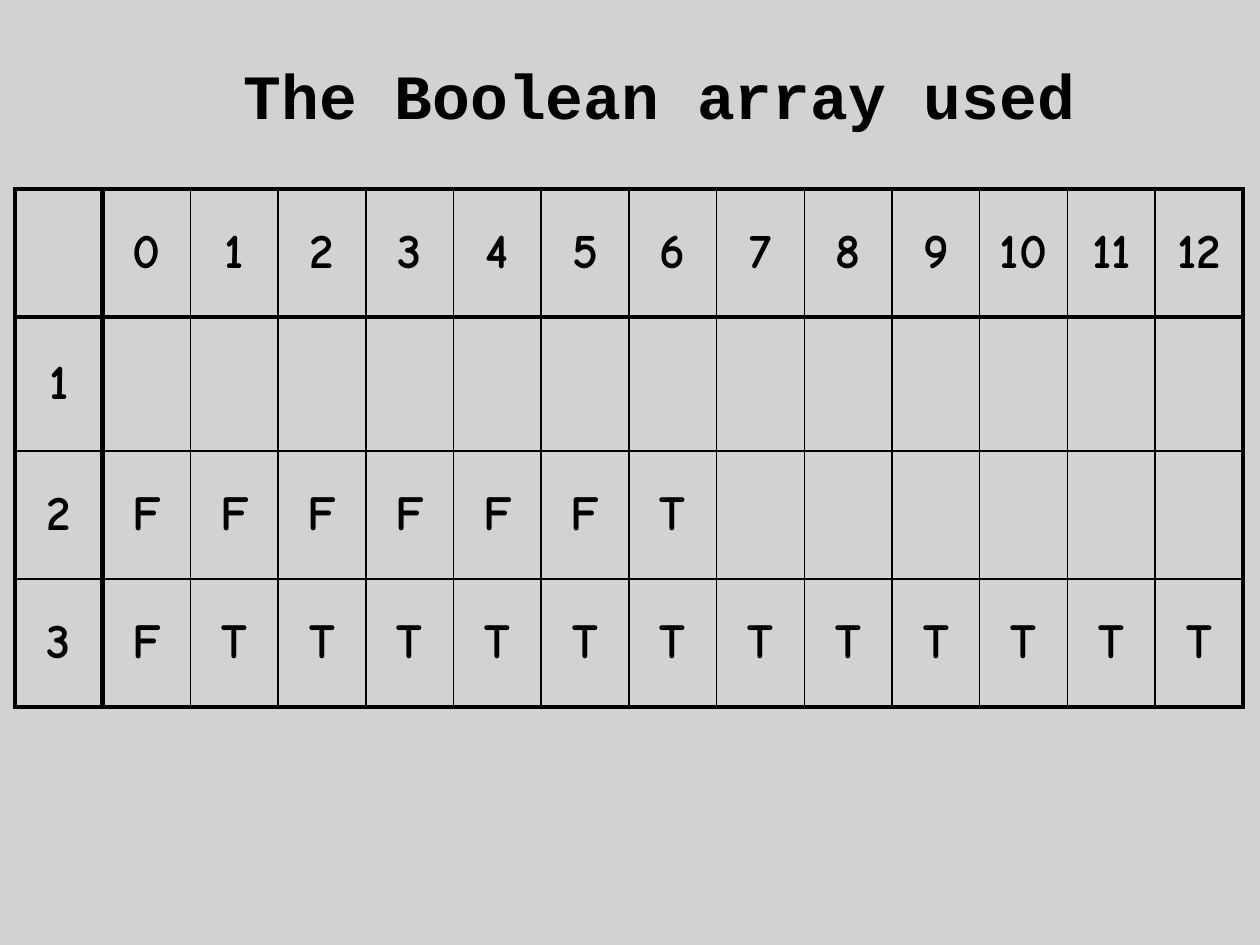
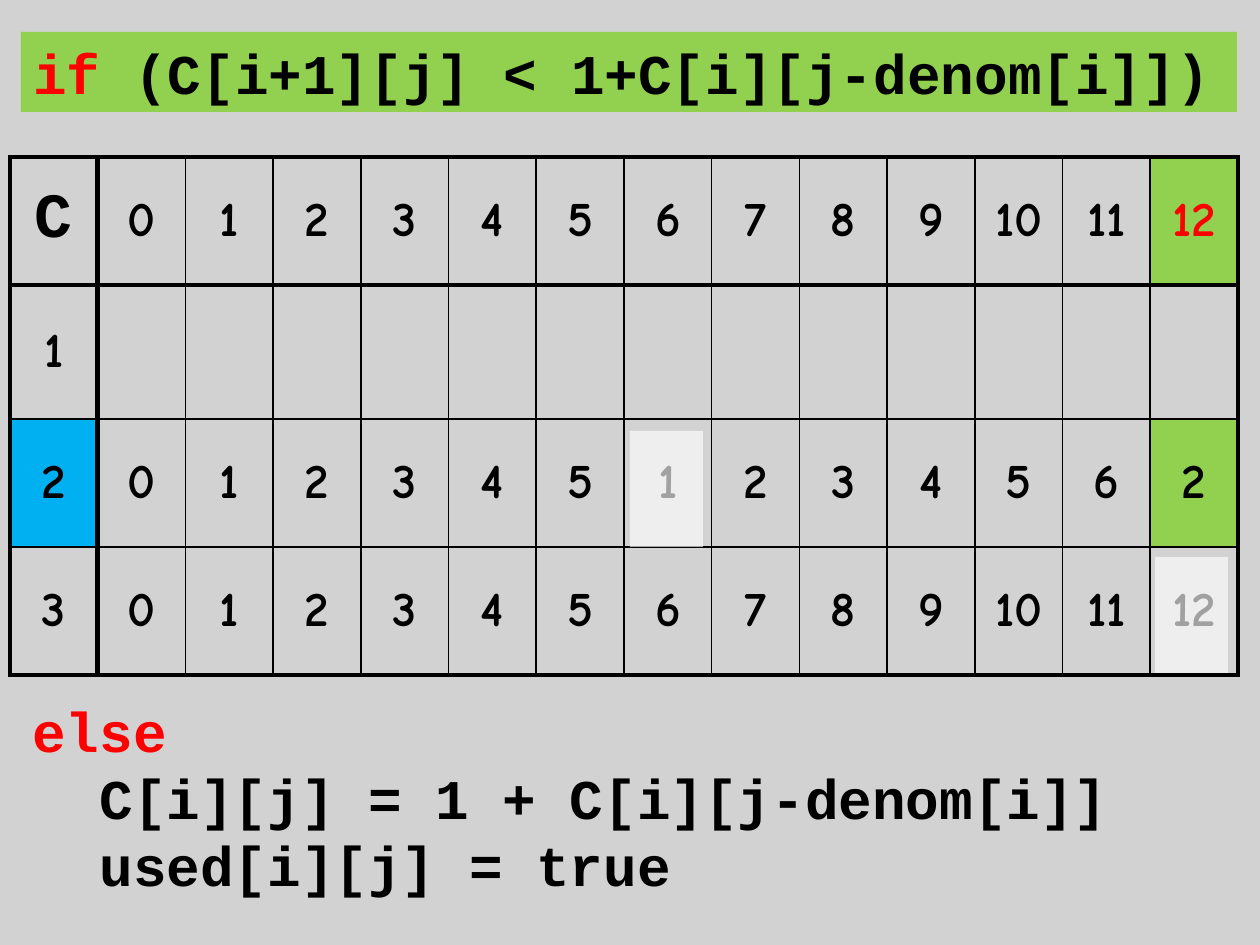
from lxml.etree import SubElement
from pptx import Presentation
from pptx.dml.color import RGBColor
from pptx.enum.shapes import MSO_SHAPE
from pptx.enum.text import MSO_ANCHOR, MSO_AUTO_SIZE, PP_ALIGN
from pptx.oxml.ns import qn
from pptx.util import Emu, Pt

BLACK = RGBColor(0x00, 0x00, 0x00)
WHITE = RGBColor(0xFF, 0xFF, 0xFF)
GREY = RGBColor(0xC0, 0xC0, 0xC0)
RED = RGBColor(0xFF, 0x00, 0x00)
GREEN = RGBColor(0x92, 0xD0, 0x50)
BLUE = RGBColor(0x00, 0xB0, 0xF0)
CODE, HAND = "Courier New", "Comic Neue"

# Content: code lines are lists of (text, colour) runs
TITLE = [[("The Boolean array used", BLACK)]]
TEST = [[("if ", RED), ("(C[i+1][j] < 1+C[i][j-denom[i]])", BLACK)]]
ELSE = [
    [("else", RED)],
    [("C[i][j] = 1 + C[i][j-denom[i]]", BLACK)],
    [("used[i][j] = true", BLACK)],
]
SUMS = list(range(13))
USED = [
    ["", *SUMS],
    [1],
    [2, *"FFFFFFT"],
    [3, *"FTTTTTTTTTTTT"],
]
COINS = [
    ["C", *SUMS],
    [1],
    [2, 0, 1, 2, 3, 4, 5, 1, 2, 3, 4, 5, 6, 2],
    [3, *SUMS],
]
FILLS = {(0, 13): GREEN, (2, 0): BLUE, (2, 13): GREEN}
INKS = {(0, 13): RED}
VEILS = [(1155, 557), (630, 431)]

# Layout in px
WIDE, HIGH = 1260, 945
GRID = 1228
ROWS = [128, 134, 128, 128]
COLS = 14
VEIL = (73, 116)
INDENT = 67
THIN, EDGE, HEAD = 1, 2.25, 3


def px(n):
    return Emu(round(n * 914400 / 126))


def style(font, size, name):
    font.size, font.name, font.bold = Pt(size), name, True


def block(slide, box, color, alpha=100):
    """Add a plain filled rectangle, see-through below 100 per cent."""
    shape = slide.shapes.add_shape(MSO_SHAPE.RECTANGLE, *map(px, box))
    shape.shadow.inherit = False
    shape.line.fill.background()
    shape.fill.solid()
    shape.fill.fore_color.rgb = color
    if alpha < 100:
        tone = shape.fill._xPr.find(".//" + qn("a:srgbClr"))
        SubElement(tone, qn("a:alpha"), val=str(alpha * 1000))
    return shape


def write(shape, lines, size):
    """Fill a shape with code; lines after the first are indented."""
    frame = shape.text_frame
    frame.word_wrap = True
    frame.auto_size = MSO_AUTO_SIZE.SHAPE_TO_FIT_TEXT
    frame.vertical_anchor = MSO_ANCHOR.TOP
    for i, line in enumerate(lines):
        para = frame.add_paragraph() if i else frame.paragraphs[0]
        para.alignment = PP_ALIGN.LEFT
        style(para.font, size, CODE)
        if i:
            para._p.get_or_add_pPr().set("marL", str(px(INDENT)))
        for text, color in line:
            run = para.add_run()
            run.text = text
            run.font.color.rgb = color


def label(slide, box, lines, size):
    write(slide.shapes.add_textbox(*map(px, box)), lines, size)


def rule(cell, row, col):
    """Draw the four borders that suit a cell's place in the grid."""
    sides = {
        "L": {0: EDGE, 1: HEAD}.get(col, THIN),
        "R": {0: HEAD, COLS - 1: EDGE}.get(col, THIN),
        "T": {0: EDGE, 1: HEAD}.get(row, THIN),
        "B": {0: HEAD, len(ROWS) - 1: EDGE}.get(row, THIN),
    }
    props = cell._tc.get_or_add_tcPr()
    for side, width in sides.items():
        line = SubElement(props, qn("a:ln" + side), w=str(Pt(width)))
        fill = SubElement(line, qn("a:solidFill"))
        SubElement(fill, qn("a:srgbClr"), val=str(BLACK))


def grid(slide, left, top, data, fills, inks):
    box = map(px, (left, top, GRID, sum(ROWS)))
    table = slide.shapes.add_table(len(ROWS), COLS, *box).table
    table.first_row = table.horz_banding = False
    for col in table.columns:
        col.width = px(GRID / COLS)
    for r, high in enumerate(ROWS):
        table.rows[r].height = px(high)
        for c in range(COLS):
            cell = table.cell(r, c)
            rule(cell, r, c)
            if (r, c) in fills:
                cell.fill.solid()
                cell.fill.fore_color.rgb = fills[r, c]
            else:
                cell.fill.background()
            cell.vertical_anchor = MSO_ANCHOR.MIDDLE
            para = cell.text_frame.paragraphs[0]
            para.alignment = PP_ALIGN.CENTER
            style(para.font, *((28, HAND) if r or c else (36, CODE)))
            para.font.color.rgb = inks.get((r, c), BLACK)
            if c < len(data[r]) and data[r][c] != "":
                para.add_run().text = str(data[r][c])


def page(deck):
    slide = deck.slides.add_slide(deck.slide_layouts[6])
    block(slide, (0, 0, WIDE, HIGH), GREY, 70)
    return slide


def main():
    deck = Presentation()
    deck.slide_width, deck.slide_height = px(WIDE), px(HIGH)

    used = page(deck)
    grid(used, 15, 189, USED, {}, {})
    label(used, (231, 50, 866, 89), TITLE, 36)

    coins = page(deck)
    grid(coins, 10, 157, COINS, FILLS, INKS)
    for spot in VEILS:
        block(coins, (*spot, *VEIL), WHITE, 63)
    write(block(coins, (21, 32, 1216, 80), GREEN), TEST, 32)
    label(coins, (20, 690, 1114, 217), ELSE, 32)

    deck.save("out.pptx")


if __name__ == "__main__":
    main()
